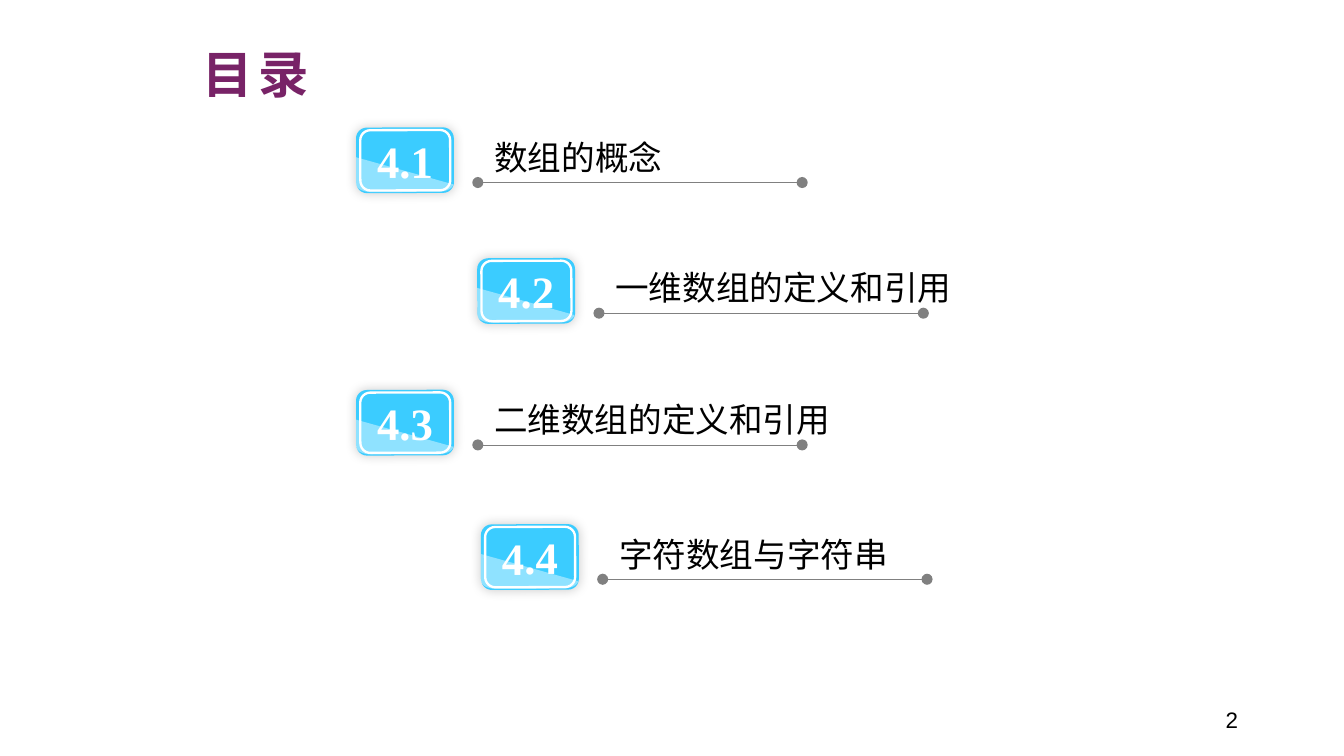
from dataclasses import dataclass

from lxml.etree import SubElement
from pptx import Presentation
from pptx.dml.color import RGBColor as Rgb
from pptx.enum.dml import MSO_LINE as Dash
from pptx.enum.shapes import MSO_CONNECTOR as Connector, MSO_SHAPE as Preset
from pptx.enum.text import MSO_ANCHOR as Anchor, MSO_AUTO_SIZE as Fit, PP_ALIGN as Align
from pptx.oxml.ns import qn
from pptx.util import Cm, Pt

COLORS = {
    "title": "782367",
    "badge": "3BCCFF",
    "white": "FFFFFF",
    "black": "000000",
    "rule": "808080",
}
CHINESE = "Noto Sans CJK SC"
STYLES = {
    "title": {"name": CHINESE, "size": Pt(27), "bold": True},
    "number": {"name": "Times New Roman", "size": Pt(24), "bold": True},
    "topic": {"name": CHINESE, "size": Pt(18), "bold": False},
    "page": {"name": "Arial", "size": Pt(12), "bold": False},
}
TILT = 359.8


@dataclass(frozen=True)
class Entry:
    number: str
    topic: str
    left: float
    top: float


ENTRIES = [
    Entry("4.1", "数组的概念", 6.73, 2.41),
    Entry("4.2", "一维数组的定义和引用", 9.02, 4.88),
    Entry("4.3", "二维数组的定义和引用", 6.73, 7.37),
    Entry("4.4", "字符数组与字符串", 9.09, 9.91),
]


def color(name: str) -> Rgb:
    return Rgb.from_string(COLORS[name])


def write(frame, text: str, style: str, ink: str, align=Align.LEFT, **layout):
    for name, value in layout.items():
        setattr(frame, name, value)
    para = frame.paragraphs[0]
    para.alignment = align
    span = para.add_run()
    span.text = text
    for name, value in STYLES[style].items():
        setattr(span.font, name, value)
    span.font.color.rgb = color(ink)
    properties = span._r.get_or_add_rPr()
    SubElement(properties, qn("a:ea"), typeface=STYLES[style]["name"])
    return properties


def bezier(points: list, steps: int = 8) -> list:
    (x0, y0), (x1, y1), (x2, y2), (x3, y3) = points
    curve = []
    for step in range(1, steps + 1):
        t = step / steps
        a, b, c, d = (1 - t) ** 3, 3 * t * (1 - t) ** 2, 3 * t * t * (1 - t), t ** 3
        curve.append((a * x0 + b * x1 + c * x2 + d * x3, a * y0 + b * y1 + c * y2 + d * y3))
    return curve


def draw_badge(shapes, entry: Entry) -> None:
    badge = shapes.add_shape(
        Preset.ROUNDED_RECTANGLE, Cm(entry.left), Cm(entry.top), Cm(1.85), Cm(1.24)
    )
    badge.rotation = TILT
    badge.fill.solid()
    badge.fill.fore_color.rgb = color("badge")
    badge.line.fill.background()
    badge.shadow.inherit = False
    effects = badge._element.spPr.find(qn("a:effectLst"))
    shadow = SubElement(
        effects, qn("a:outerShdw"), blurRad=str(Pt(6)), dist="0", dir="13500000", rotWithShape="0"
    )
    tint = SubElement(shadow, qn("a:srgbClr"), val=COLORS["black"])
    SubElement(tint, qn("a:alpha"), val="20000")
    write(badge.text_frame, entry.number, "number", "white", Align.CENTER,
          vertical_anchor=Anchor.MIDDLE, word_wrap=True)

    border = shapes.add_shape(
        Preset.ROUNDED_RECTANGLE, Cm(entry.left + 0.08), Cm(entry.top + 0.05), Cm(1.7), Cm(1.14)
    )
    border.rotation = TILT
    border.fill.background()
    border.line.color.rgb = color("white")
    border.line.width = Pt(1.25)
    border.shadow.inherit = False


def draw_gloss(shapes, entry: Entry) -> None:
    right_corner = [(1.84, 0.52), (1.82, 0.6), (1.7, 0.66), (1.54, 0.66)]
    left_corner = [(0.3, 0.66), (0.14, 0.66), (0, 0.6), (0, 0.5)]
    outline = [(0, 0), right_corner[0], *bezier(right_corner), left_corner[0], *bezier(left_corner)]
    points = [(Cm(entry.left + x), Cm(entry.top + 0.56 + y)) for x, y in outline]
    builder = shapes.build_freeform(*points[0])
    builder.add_line_segments(points[1:], close=True)
    gloss = builder.convert_to_shape()
    gloss.rotation = TILT
    gloss.fill.solid()
    gloss.fill.fore_color.rgb = color("white")
    tint = gloss._element.spPr.find(qn("a:solidFill")).find(qn("a:srgbClr"))
    SubElement(tint, qn("a:alpha"), val="43000")
    gloss.line.fill.background()
    gloss.shadow.inherit = False


def draw_rule(shapes, entry: Entry) -> None:
    height = Cm(entry.top + 1.04)
    rule = shapes.add_connector(
        Connector.STRAIGHT, Cm(entry.left + 2.3), height, Cm(entry.left + 8.43), height
    )
    rule.line.color.rgb = color("rule")
    rule.line.width = Pt(0.25)
    rule.line.dash_style = Dash.ROUND_DOT
    outline = rule.line._get_or_add_ln()
    for end in ("a:headEnd", "a:tailEnd"):
        SubElement(outline, qn(end), type="oval")
    SubElement(rule._element.spPr, qn("a:effectLst"))


def draw_entry(page, entry: Entry) -> None:
    shapes = page.shapes.add_group_shape().shapes
    draw_badge(shapes, entry)
    draw_gloss(shapes, entry)
    draw_rule(shapes, entry)
    width = 0.51 + 0.635 * len(entry.topic)
    box = shapes.add_textbox(Cm(entry.left + 2.36), Cm(entry.top + 0.05), Cm(width), Cm(1.02))
    write(box.text_frame, entry.topic, "topic", "black",
          word_wrap=False, auto_size=Fit.SHAPE_TO_FIT_TEXT)


def main() -> None:
    """Build the table of contents slide and save it."""
    deck = Presentation()
    deck.slide_width, deck.slide_height = Cm(25.4), Cm(14.29)
    page = deck.slides.add_slide(deck.slide_layouts[5])

    title = page.shapes.title
    place = {"left": 3.58, "top": 0.69, "width": 2.77, "height": 1.4}
    for name, value in place.items():
        setattr(title, name, Cm(value))
    properties = write(title.text_frame, "目录", "title", "title", word_wrap=True,
                       vertical_anchor=Anchor.TOP, auto_size=Fit.SHAPE_TO_FIT_TEXT)
    properties.set("spc", "300")

    for entry in ENTRIES:
        draw_entry(page, entry)

    box = page.shapes.add_textbox(Cm(17.93), Cm(13.23), Cm(5.72), Cm(0.76))
    write(box.text_frame, "2", "page", "black", Align.RIGHT, word_wrap=True)
    deck.save("out.pptx")


if __name__ == "__main__":
    main()
